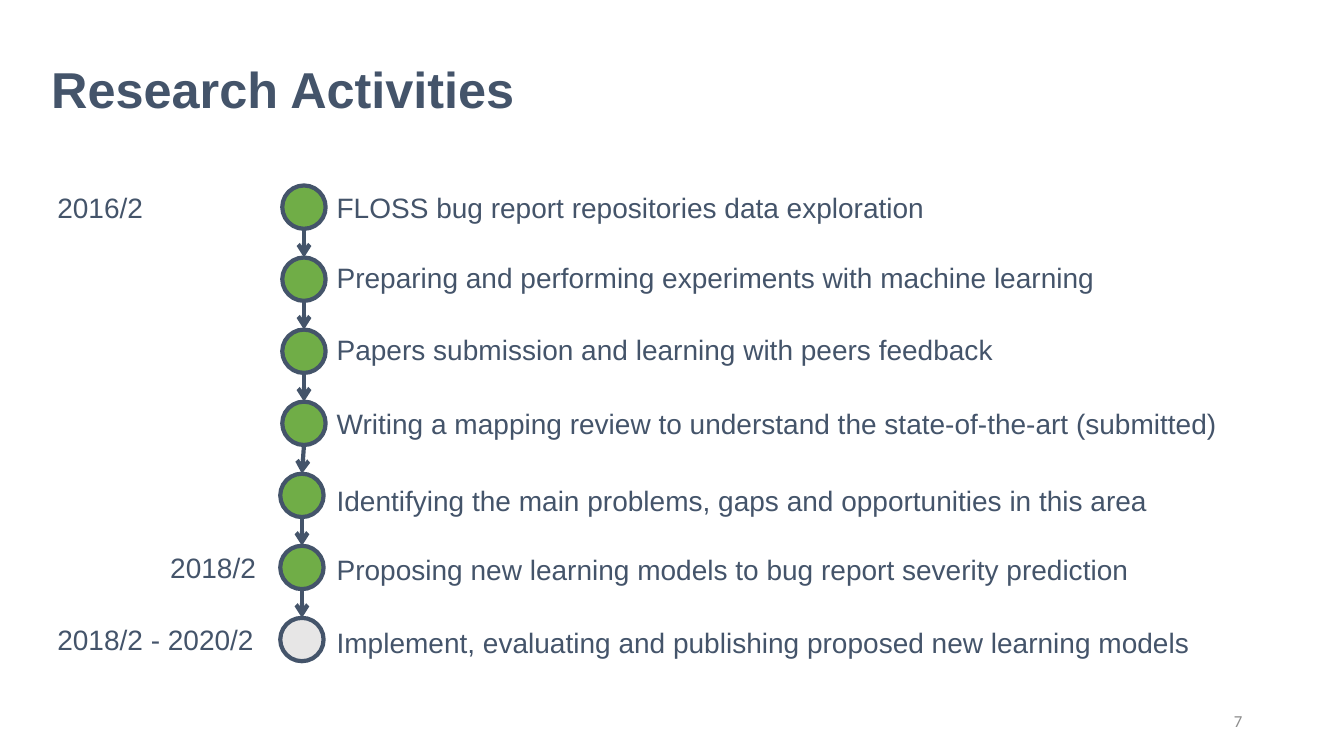
from dataclasses import dataclass
from itertools import pairwise

import pptx
import pptx.dml.color
import pptx.enum.shapes
import pptx.enum.text
import pptx.oxml.ns
import pptx.shapes.autoshape
import pptx.slide
import pptx.util
from lxml import etree

Inches = pptx.util.Inches
Anchor = pptx.enum.text.MSO_ANCHOR
Align = pptx.enum.text.PP_ALIGN


@dataclass(frozen=True)
class Theme:
    ink: str = "44546A"
    done: str = "70AD47"
    planned: str = "E7E6E6"
    muted: str = "8C8C8C"
    font: str = "Arial"
    number_font: str = "Calibri"
    title_size: int = 36
    body_size: int = 20
    number_size: int = 12
    line_width: int = 3


@dataclass(frozen=True)
class Activity:
    text: str
    text_top: float
    text_width: float
    circle_left: float = 2.8
    done: bool = True


@dataclass(frozen=True)
class Period:
    text: str
    left: float
    top: float
    width: float
    wrap: bool = True


THEME = Theme()
FIRST_TOP = 1.84
STEP = 0.715
DIAMETER = 0.43
TEXT_LEFT = 3.24
TEXT_HEIGHT = 0.44

ACTIVITIES = [
    Activity("FLOSS bug report repositories data exploration", 1.84, 6.26),
    Activity("Preparing and performing experiments with machine learning", 2.54, 7.84),
    Activity("Papers submission and learning with peers feedback", 3.25, 6.91),
    Activity("Writing a mapping review to understand the state-of-the-art (submitted)", 3.98, 9.21),
    Activity("Identifying the main problems, gaps and opportunities in this area", 4.75, 8.3, 2.78),
    Activity("Proposing new learning models to bug report severity prediction", 5.43, 8.24, 2.78),
    Activity("Implement, evaluating and publishing proposed new learning models", 6.16, 8.83, 2.78, False),
]

PERIODS = [
    Period("2016/2", 0.47, 1.84, 1.07, False),
    Period("2018/2", 1.59, 5.41, 1.07),
    Period("2018/2 - 2020/2", 0.47, 6.13, 2.29),
]


def rgb(value: str) -> pptx.dml.color.RGBColor:
    return pptx.dml.color.RGBColor.from_string(value)


def add_text(
    slide: pptx.slide.Slide,
    text: str,
    *,
    left: float,
    top: float,
    width: float,
    height: float = TEXT_HEIGHT,
    size: int = THEME.body_size,
    font: str = THEME.font,
    color: str = THEME.ink,
    bold: bool = False,
    wrap: bool = True,
    grow: bool = False,
    anchor: Anchor = Anchor.TOP,
    align: Align = Align.LEFT,
    line_spacing: float = 1.0,
) -> None:
    shape = slide.shapes.add_textbox(Inches(left), Inches(top), Inches(width), Inches(height))
    frame = shape.text_frame
    frame.word_wrap = wrap
    frame.vertical_anchor = anchor
    if grow:
        frame.auto_size = pptx.enum.text.MSO_AUTO_SIZE.SHAPE_TO_FIT_TEXT
    paragraph = frame.paragraphs[0]
    paragraph.alignment = align
    paragraph.line_spacing = line_spacing
    run = paragraph.add_run()
    run.text = text
    run.font.name = font
    run.font.size = pptx.util.Pt(size)
    run.font.bold = bold
    run.font.color.rgb = rgb(color)


def add_circle(slide: pptx.slide.Slide, activity: Activity, top: float) -> pptx.shapes.autoshape.Shape:
    shape = slide.shapes.add_shape(
        pptx.enum.shapes.MSO_SHAPE.OVAL,
        Inches(activity.circle_left), Inches(top), Inches(DIAMETER), Inches(DIAMETER),
    )
    shape.shadow.inherit = False
    shape.fill.solid()
    shape.fill.fore_color.rgb = rgb(THEME.done if activity.done else THEME.planned)
    shape.line.color.rgb = rgb(THEME.ink)
    shape.line.width = pptx.util.Pt(THEME.line_width)
    return shape


def add_arrow(
    slide: pptx.slide.Slide,
    upper: pptx.shapes.autoshape.Shape,
    lower: pptx.shapes.autoshape.Shape,
) -> None:
    connector = slide.shapes.add_connector(
        pptx.enum.shapes.MSO_CONNECTOR.STRAIGHT,
        upper.left + upper.width // 2, upper.top + upper.height,
        lower.left + lower.width // 2, lower.top,
    )
    connector.end_connect(lower, 0)
    connector.line.color.rgb = rgb(THEME.ink)
    connector.line.width = pptx.util.Pt(THEME.line_width)
    qualify = pptx.oxml.ns.qn
    etree.SubElement(connector.line._get_or_add_ln(), qualify("a:tailEnd"), type="arrow")
    etree.SubElement(connector._element.spPr, qualify("a:effectLst"))


def main() -> None:
    presentation = pptx.Presentation()
    presentation.slide_width = Inches(13.33)
    presentation.slide_height = Inches(7.5)
    slide = presentation.slides.add_slide(presentation.slide_layouts[6])

    add_text(slide, "Research Activities", left=0.41, top=0.4, width=11.5, height=1.02,
             size=THEME.title_size, bold=True, anchor=Anchor.MIDDLE, line_spacing=0.9)

    circles = []
    for index, activity in enumerate(ACTIVITIES):
        circles.append(add_circle(slide, activity, FIRST_TOP + index * STEP))
        add_text(slide, activity.text, left=TEXT_LEFT, top=activity.text_top,
                 width=activity.text_width, wrap=False, grow=True)
    for upper, lower in pairwise(circles):
        add_arrow(slide, upper, lower)

    for period in PERIODS:
        add_text(slide, period.text, left=period.left, top=period.top,
                 width=period.width, wrap=period.wrap, grow=True)

    add_text(slide, "7", left=9.42, top=6.95, width=3, height=0.4, size=THEME.number_size,
             font=THEME.number_font, color=THEME.muted, anchor=Anchor.MIDDLE, align=Align.RIGHT)

    presentation.save("out.pptx")


if __name__ == "__main__":
    main()
